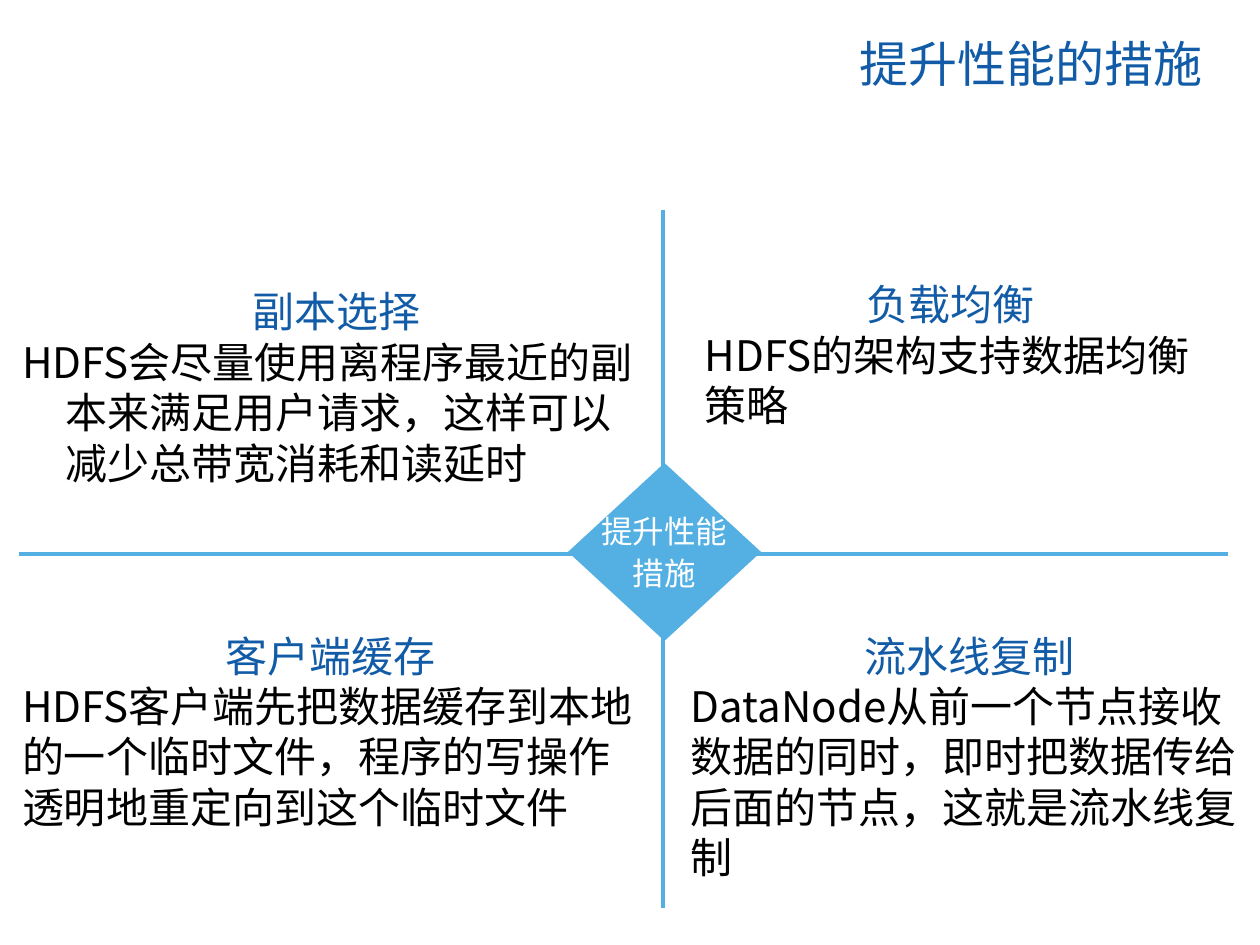
from lxml import etree
from pptx import Presentation
from pptx.dml.color import RGBColor
from pptx.enum.shapes import MSO_CONNECTOR, MSO_SHAPE
from pptx.enum.text import MSO_ANCHOR, PP_ALIGN
from pptx.oxml.ns import qn
from pptx.util import Emu, Inches, Pt

SCALE = Inches(1) // 126
BLUE, SKY, BLACK, WHITE = "125CA7", "54B0E2", "000000", "FFFFFF"
CJK = "Noto Sans CJK SC"


def px(n):
    return Emu(n * SCALE)


def rgb(value):
    return RGBColor.from_string(value)


class Deck:
    def __init__(self, prs):
        self.prs = prs
        self.s = prs.slides.add_slide(prs.slide_layouts[6])

    def style(self, p, size, color, align, font=CJK):
        p.alignment = align
        for r in p.runs:
            r.font.size = Pt(size)
            r.font.name = font
            r.font.color.rgb = rgb(color)
            ea = etree.SubElement(r.font._element, qn("a:ea"))
            ea.set("typeface", CJK)

    def frame(self, sp, insets, wrap=True, anchor=MSO_ANCHOR.TOP):
        tf = sp.text_frame
        tf.word_wrap = wrap
        tf.vertical_anchor = anchor
        tf.margin_left, tf.margin_top, tf.margin_right, tf.margin_bottom = map(px, insets)
        return tf

    def title(self, text, x, y, w, h):
        sp = self.s.shapes.add_textbox(px(x), px(y), px(w), px(h))
        tf = self.frame(sp, (0, 0, 16, 0), anchor=MSO_ANCHOR.MIDDLE)
        tf.text = text
        p = tf.paragraphs[0]
        p.line_spacing = 0.9
        self.style(p, 28, BLUE, PP_ALIGN.RIGHT, "Roboto")

    def line(self, x1, y1, x2, y2):
        c = self.s.shapes.add_connector(MSO_CONNECTOR.STRAIGHT, px(x1), px(y1), px(x2), px(y2))
        c.line.color.rgb = rgb(SKY)
        c.line.width = Pt(2.25)
        etree.SubElement(c._element.spPr, qn("a:effectLst"))

    def diamond(self, text, x, y, w, h):
        sp = self.s.shapes.add_shape(MSO_SHAPE.DIAMOND, px(x), px(y), px(w), px(h))
        sp.shadow.inherit = False
        sp.fill.solid()
        sp.fill.fore_color.rgb = rgb(SKY)
        sp.line.fill.background()
        tf = self.frame(sp, (0, 0, 0, 0), wrap=False, anchor=MSO_ANCHOR.MIDDLE)
        tf.text = text
        for i, p in enumerate(tf.paragraphs):
            p.line_spacing = Pt(21.6)
            if i:
                p.space_before = Pt(2.2)
            self.style(p, 18, WHITE, PP_ALIGN.CENTER)

    def quadrant(self, heading, body, x, y, w, h, hang=0):
        sp = self.s.shapes.add_textbox(px(x), px(y), px(w), px(h))
        tf = self.frame(sp, (12, 6, 12, 6))
        tf.text = f"{heading}\n{body}"
        looks = ((BLUE, PP_ALIGN.CENTER), (BLACK, PP_ALIGN.LEFT))
        for p, (color, align) in zip(tf.paragraphs, looks):
            p.line_spacing = Pt(28.8)
            if hang:
                pPr = p._p.get_or_add_pPr()
                pPr.set("marL", str(px(hang)))
                pPr.set("indent", str(-px(hang)))
            self.style(p, 24, color, align)


def main():
    prs = Presentation()
    prs.slide_width, prs.slide_height = px(1260), px(945)
    deck = Deck(prs)
    deck.title("提升性能的措施", 63, 32, 1155, 70)
    deck.line(19, 554, 1228, 554)
    deck.line(663, 210, 663, 908)
    deck.diamond("提升性能\n措施", 568, 463, 193, 178)
    deck.quadrant("副本选择", "HDFS会尽量使用离程序最近的副本来满足用户请求，这样可以减少总带宽消耗和读延时",
                  10, 280, 653, 215, hang=43)
    deck.quadrant("负载均衡", "HDFS的架构支持数据均衡策略", 693, 273, 515, 141)
    deck.quadrant("客户端缓存", "HDFS客户端先把数据缓存到本地的一个临时文件，程序的写操作透明地重定向到这个临时文件",
                  10, 624, 641, 247)
    deck.quadrant("流水线复制", "DataNode从前一个节点接收数据的同时，即时把数据传给后面的节点，这就是流水线复制",
                  679, 624, 581, 247)
    prs.save("out.pptx")


if __name__ == "__main__":
    main()
